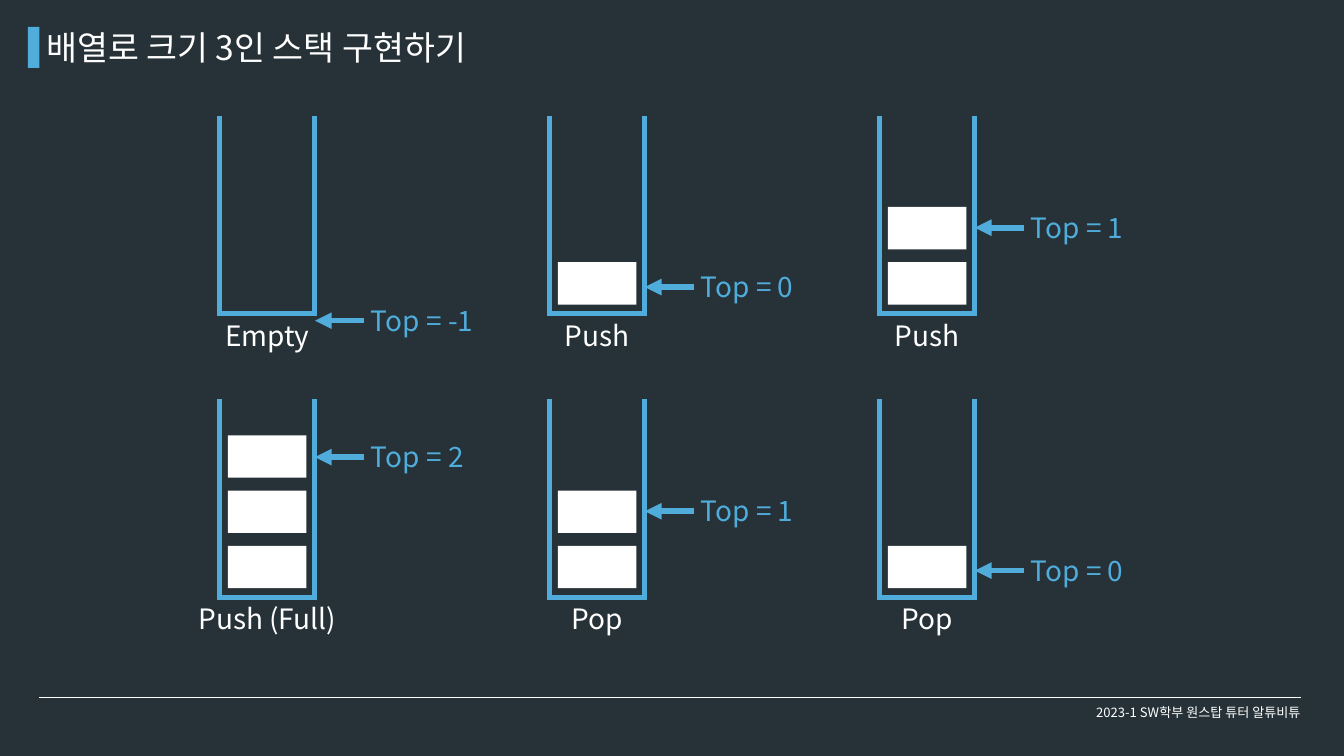
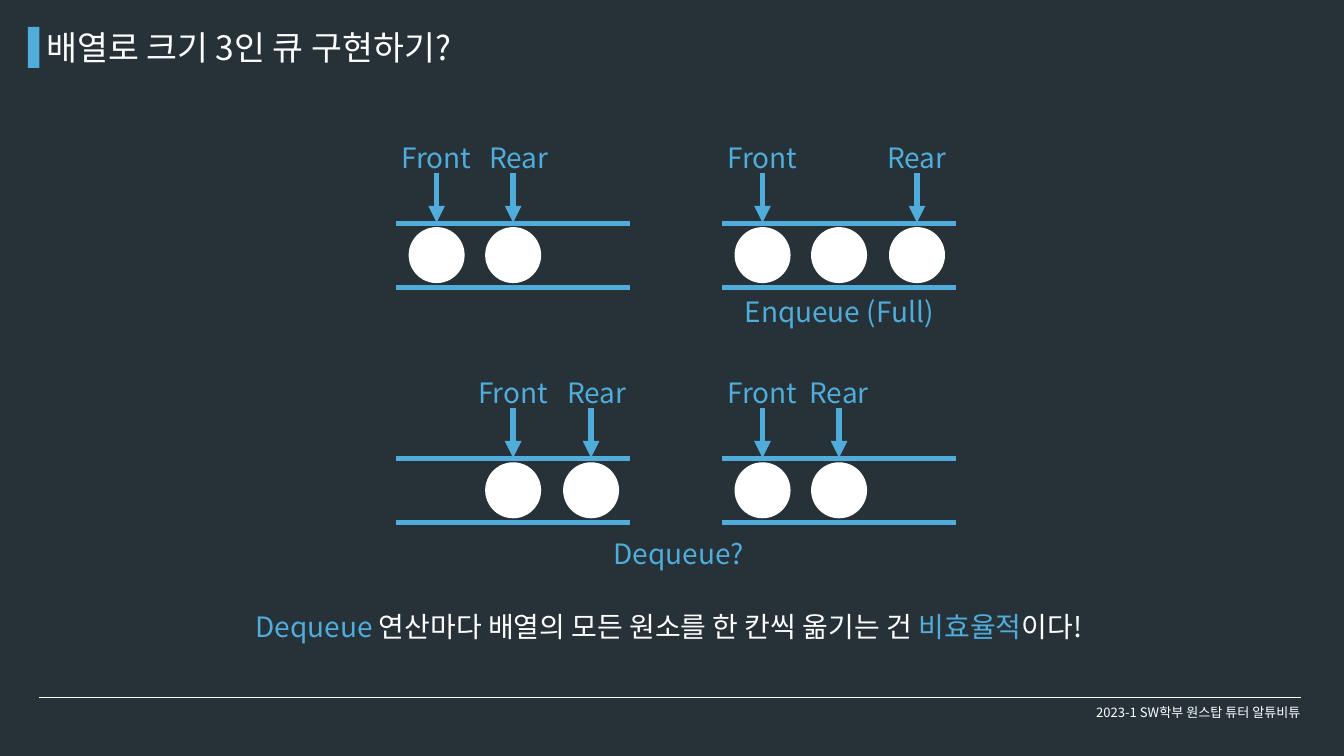
from lxml import etree
from pptx import Presentation
from pptx.dml.color import RGBColor
from pptx.enum import shapes, text
from pptx.oxml import ns
from pptx.util import Pt

BACK, BLUE, WHITE = "263238", "4FACDB", "FFFFFF"
FONT = "Noto Sans CJK KR"
BOLD = 6
LEFT, MID = text.PP_ALIGN.LEFT, text.PP_ALIGN.CENTER
FOOT = "2023-1 SW학부 원스탑 튜터 알튜비튜"


def paint(form, hue):
    form.solid()
    form.fore_color.rgb = RGBColor.from_string(hue)


def sub(node, tag, **attrs):
    return etree.SubElement(node, ns.qn(tag), **attrs)


def write(para, words, size=30, hue=WHITE):
    run = para.add_run()
    run.text = words
    run.font.size = Pt(size)
    run.font.name = FONT
    paint(run.font.fill, hue)
    sub(run.font._element, "a:ea", typeface=FONT)


class Deck:
    """Holds the deck's style and draws on the current slide."""

    def __init__(self):
        self.prs = Presentation()
        self.prs.slide_width, self.prs.slide_height = Pt(1440), Pt(810)
        paint(self.prs.slide_master.background.fill, BACK)

    def page(self, title):
        self.slide = self.prs.slides.add_slide(self.prs.slide_layouts[6])
        self.line(42, 747.4, 1394, 747.4, hue=WHITE, wide=0.75)
        self.block(30, 28.8, 12.2, 44, hue=BLUE)
        self.label(FOOT, 1140, 742.3, 288, 41, size=14, anchor=text.MSO_ANCHOR.MIDDLE)
        self.label(title, 42.5, 25.2, 684, 51, size=36, align=LEFT)

    def label(self, words, x, y, w, h=44, size=30, hue=WHITE, align=MID, anchor=None):
        """Words are one string, or a list of (string, colour) parts."""
        frame = self.slide.shapes.add_textbox(Pt(x), Pt(y), Pt(w), Pt(h)).text_frame
        frame.word_wrap = True
        if anchor is None:
            frame.auto_size = text.MSO_AUTO_SIZE.SHAPE_TO_FIT_TEXT
        else:
            frame.vertical_anchor = anchor
        para = frame.paragraphs[0]
        para.alignment = align
        for part, tint in [(words, hue)] if isinstance(words, str) else words:
            write(para, part, size=size, hue=tint)

    def block(self, x, y, w, h, kind=shapes.MSO_SHAPE.RECTANGLE, hue=WHITE):
        shape = self.slide.shapes.add_shape(kind, Pt(x), Pt(y), Pt(w), Pt(h))
        shape.shadow.inherit = False
        paint(shape.fill, hue)
        shape.line.fill.background()

    def line(self, x1, y1, x2, y2, hue=BLUE, wide=BOLD, arrow=False):
        link = self.slide.shapes.add_connector(
            shapes.MSO_CONNECTOR.STRAIGHT, Pt(x1), Pt(y1), Pt(x2), Pt(y2))
        paint(link.line.fill, hue)
        link.line.width = Pt(wide)
        if arrow:
            sub(link.line._get_or_add_ln(), "a:tailEnd", type="triangle")
        sub(link._element.spPr, "a:effectLst")

    def grid(self, x, y, cols, rows, sides):
        """Draw an empty table with only the given outer sides (of LRTB) ruled."""
        table = self.slide.shapes.add_table(
            len(rows), len(cols), Pt(x), Pt(y), Pt(sum(cols)), Pt(sum(rows))).table
        table.first_row = table.horz_banding = False
        for col, wide in zip(table.columns, cols):
            col.width = Pt(wide)
        for row, high in zip(table.rows, rows):
            row.height = Pt(high)
        for r in range(len(rows)):
            for c in range(len(cols)):
                edge = {"L": c == 0, "R": c == len(cols) - 1,
                        "T": r == 0, "B": r == len(rows) - 1}
                self.cell(table.cell(r, c), [s for s in sides if edge[s]])

    def cell(self, cell, ruled):
        cell.margin_left = cell.margin_right = cell.margin_top = cell.margin_bottom = 0
        props = cell._tc.get_or_add_tcPr()
        for side in "LRTB":
            if side in ruled:
                edge = sub(props, f"a:ln{side}", w=str(Pt(BOLD)))
                sub(sub(edge, "a:solidFill"), "a:srgbClr", val=BLUE)
            else:
                sub(sub(props, f"a:ln{side}", w="0"), "a:noFill")
        cell.fill.background()

    def stack(self, x, y, top, name):
        """Draw a stack filled up to index top."""
        self.grid(x, y, [102], [28.8] + [61.2] * 3, "LRB")
        for i in range(top + 1):
            self.block(x + 8.8, y + 157 - 59.2 * i, 84.2, 45.4)
        level = y + {-1: 219.6, 0: 183.6, 1: 120, 2: 62}[top]
        self.line(x + 155, level, x + 102, level, arrow=True)
        self.label(f"Top = {top}", x + 155, level - 22.3, 203, hue=BLUE, align=LEFT)
        self.label(name, x - 50.4, y + 213.4, 203)

    def queue(self, x, y, front, rear, nudge):
        """Draw a queue filled from index front to rear."""
        mids = [43, 125, 208.5]
        self.grid(x, y, [83.3] * 3, [69], "TB")
        for mid in mids[front:rear + 1]:
            self.block(x + mid - 30, y + 4.3, 60, 60, kind=shapes.MSO_SHAPE.OVAL)
        for name, i, shift in (("Front", front, 0), ("Rear", rear, nudge)):
            mid = x + mids[i]
            self.line(mid, y - 53.5, mid, y - 0.5, arrow=True)
            self.label(name, mid - 60 + shift, y - 92.5, 120, hue=BLUE)


def main():
    deck = Deck()
    deck.page("배열로 크기 3인 스택 구현하기")
    steps = [(-1, "Empty"), (0, "Push"), (1, "Push"),
             (2, "Push (Full)"), (1, "Pop"), (0, "Pop")]
    for i, (top, name) in enumerate(steps):
        row, col = divmod(i, 3)
        deck.stack(235.4 + 353.5 * col, 124 + 303.8 * row, top, name)

    deck.page("배열로 크기 3인 큐 구현하기?")
    for i, (front, rear) in enumerate([(0, 1), (0, 2), (1, 2), (0, 1)]):
        row, col = divmod(i, 2)
        deck.queue(424.8 + 349.2 * col, 239 + 252 * row, front, rear, 0 if col else 6)
    deck.label("Enqueue (Full)", 774, 312.5, 250, hue=BLUE)
    deck.label("Dequeue?", 602, 571.7, 250, hue=BLUE)
    deck.label([("Dequeue ", BLUE), ("연산마다 배열의 모든 원소를 한 칸씩 옮기는 건 ", WHITE),
                ("비효율적", BLUE), ("이다! ", WHITE)], 162, 649.4, 1116)
    deck.prs.save("out.pptx")


if __name__ == "__main__":
    main()
